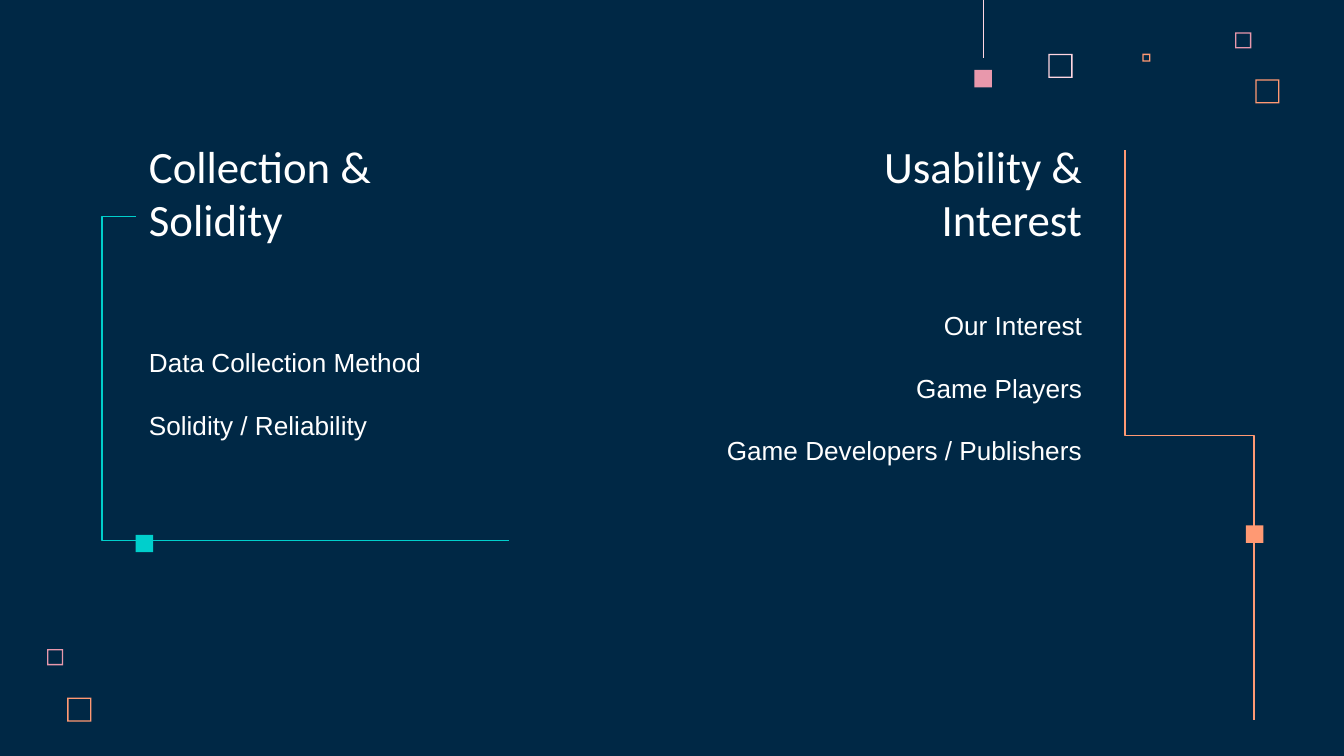
"""Build a dark two-column slide with headings, topic lists and square ornaments."""
from lxml import etree
from pptx import Presentation
from pptx.dml.color import RGBColor
from pptx.enum import shapes, text
from pptx.oxml.ns import qn
from pptx.util import Inches, Pt

WHITE, TEAL, ORANGE, PINK, PALE = "FFFFFF", "00CFCC", "FF9973", "E898AC", "FFD6E1"


def rgb(value):
    return RGBColor.from_string(value)


def add_text(lines, left, top, width, height, size=14, font="Arial",
             align=text.PP_ALIGN.LEFT, anchor=text.MSO_ANCHOR.TOP, gap=16.8):
    sp = s.shapes.add_textbox(Inches(left), Inches(top), Inches(width), Inches(height))
    tf = sp.text_frame
    tf.word_wrap = True
    tf.vertical_anchor = anchor
    tf.margin_left = tf.margin_right = tf.margin_top = tf.margin_bottom = Inches(0.1)
    for i, line in enumerate(lines):
        p = tf.add_paragraph() if i else tf.paragraphs[0]
        p.alignment = align
        p.space_before = Pt(gap if i else 0)
        r = p.add_run()
        r.text = line
        r.font.size = Pt(size)
        r.font.name = font
        r.font.color.rgb = rgb(WHITE)


prs = Presentation()
prs.slide_width, prs.slide_height = Inches(10), Inches(10 * 9 / 16)
s = prs.slides.add_slide(prs.slide_layouts[6])
s.background.fill.solid()
s.background.fill.fore_color.rgb = rgb("002845")

frame, solid = shapes.MSO_SHAPE.FRAME, shapes.MSO_SHAPE.RECTANGLE
squares = [
    (frame, 7.8, 0.4, 0.18, PALE),
    (frame, 9.19, 0.24, 0.12, PINK),
    (frame, 8.5, 0.4, 0.06, ORANGE),
    (frame, 9.34, 0.59, 0.18, ORANGE),
    (solid, 7.25, 0.52, 0.13, PINK),
    (frame, 0.35, 4.83, 0.12, PINK),
    (frame, 0.5, 5.19, 0.18, ORANGE),
    (solid, 1.01, 3.98, 0.13, TEAL),
    (solid, 9.27, 3.91, 0.13, ORANGE),
]
for kind, left, top, size, color in squares:
    sp = s.shapes.add_shape(kind, Inches(left), Inches(top), Inches(size), Inches(size))
    sp.shadow.inherit = False
    sp.fill.solid()
    sp.fill.fore_color.rgb = rgb(color)
    sp.line.fill.background()
    if kind == frame:
        sp.adjustments[0] = 0.01 / size

headings = [
    ("Collection & Solidity", 1.01, 2.56, text.PP_ALIGN.LEFT),
    ("Usability & Interest", 6.45, 1.7, text.PP_ALIGN.RIGHT),
]
for heading, left, width, align in headings:
    add_text([heading], left, 1.3, width, 0.63, size=24, font="Calibri",
             align=align, anchor=text.MSO_ANCHOR.BOTTOM)

add_text(["Data Collection Method", "Solidity / Reliability"], 1.01, 2.48, 2.87, 1.22)
add_text(["Our Interest", "Game Players", "Game Developers / Publishers"],
         5.16, 2.2, 2.99, 1.22, align=text.PP_ALIGN.RIGHT)

elbow, straight = shapes.MSO_CONNECTOR.ELBOW, shapes.MSO_CONNECTOR.STRAIGHT
lines = [
    (straight, 7.32, 0, 7.32, 0.43, PALE, 0.5, 0, None),
    (elbow, 1.01, 1.61, 3.79, 4.02, TEAL, 0.75, 0, -0.09),
    (elbow, 10.97, 2.76, 6.73, 3.72, ORANGE, 0.75, 270, 0.5),
]
for kind, x1, y1, x2, y2, color, weight, angle, bend in lines:
    cxn = s.shapes.add_connector(kind, Inches(x1), Inches(y1), Inches(x2), Inches(y2))
    cxn.line.color.rgb = rgb(color)
    cxn.line.width = Pt(weight)
    sp_pr = cxn._element.spPr
    etree.SubElement(sp_pr, qn("a:effectLst"))
    if angle:
        sp_pr.find(qn("a:xfrm")).set("rot", str(angle * 60000))
    if bend is not None:
        guides = sp_pr.find(qn("a:prstGeom")).find(qn("a:avLst"))
        etree.SubElement(guides, qn("a:gd"), name="adj1", fmla=f"val {round(bend * 100000)}")

prs.save("out.pptx")
